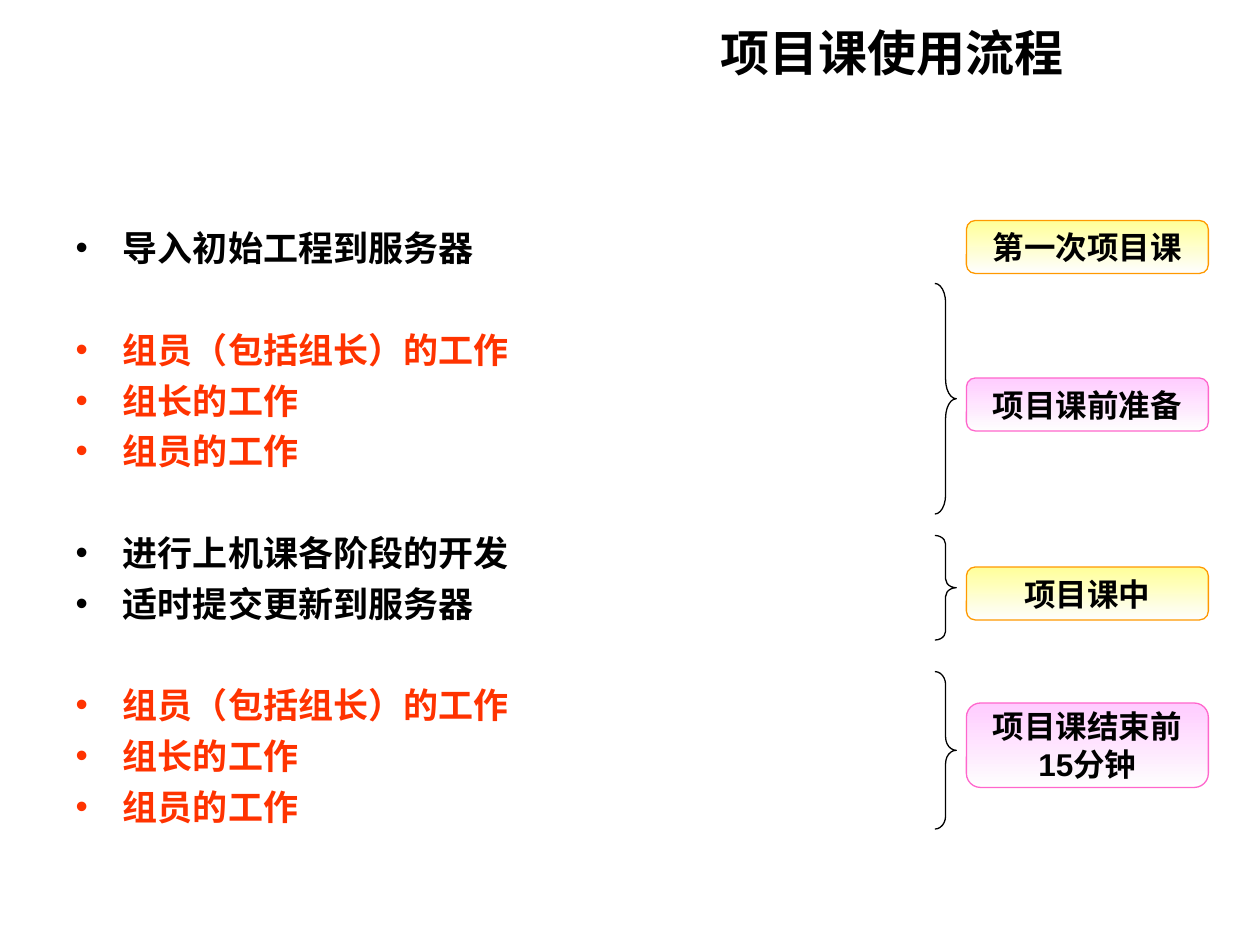
from pptx import Presentation
from pptx.dml.color import RGBColor
from pptx.enum.shapes import MSO_SHAPE
from pptx.enum.text import MSO_ANCHOR, MSO_AUTO_SIZE, PP_ALIGN
from pptx.util import Inches, Pt

BOX, BRACE = MSO_SHAPE.ROUNDED_RECTANGLE, MSO_SHAPE.RIGHT_BRACE
MIDDLE, NO_FIT = MSO_ANCHOR.MIDDLE, MSO_AUTO_SIZE.NONE
RIGHT, CENTER = PP_ALIGN.RIGHT, PP_ALIGN.CENTER

# Content
COLORS = {"black": "000000", "red": "FF3300", "pale": "FEFEFE",
          "yellow": "FFFF99", "orange": "FF9900",
          "pink": "FFCCFF", "rose": "FF66CC"}
TITLE = "项目课使用流程"
ROLES = ["组员（包括组长）的工作", "组长的工作", "组员的工作"]
GROUPS = [("black", ["导入初始工程到服务器"]),
          ("red", ROLES),
          ("black", ["进行上机课各阶段的开发", "适时提交更新到服务器"]),
          ("red", ROLES)]
# Label lines, top, height, fill, outline
LABELS = [(["第一次项目课"], 1.75, 0.42, "yellow", "orange"),
          (["项目课前准备"], 3, 0.42, "pink", "rose"),
          (["项目课中"], 4.5, 0.42, "yellow", "orange"),
          (["项目课结束前", "15分钟"], 5.58, 0.67, "pink", "rose")]
# Top, height
BRACES = [(2.25, 1.83), (4.25, 0.83), (5.33, 1.25)]
LABEL_X, LABEL_W = 7.67, 1.92
BRACE_X, BRACE_W = 7.42, 0.17
GAP, GROUP_GAP = 5, 34


def color(name):
    return RGBColor.from_string(COLORS[name])


def style(para, size, name="black"):
    font = para.font
    font.name, font.size, font.bold = "Arial", Pt(size), True
    font.color.rgb = color(name)


def place(shape, x, y, w, h):
    shape.left, shape.top = Inches(x), Inches(y)
    shape.width, shape.height = Inches(w), Inches(h)


def add_shape(kind, x, y, w, h, line):
    shape = slide.shapes.add_shape(
        kind, Inches(x), Inches(y), Inches(w), Inches(h))
    shape.shadow.inherit = False
    shape.line.color.rgb = color(line)
    shape.line.width = Pt(0.74)
    return shape


def add_paras(frame, lines):
    for i, line in enumerate(lines):
        para = frame.add_paragraph() if i else frame.paragraphs[0]
        para.text = line
        yield para


deck = Presentation()
deck.slide_width, deck.slide_height = Inches(10), Inches(7.5)
slide = deck.slides.add_slide(deck.slide_layouts[1])

# Title
title = slide.shapes.title
place(title, 0.98, -0.19, 7.56, 1.21)
title.text_frame.auto_size = NO_FIT
title.text_frame.vertical_anchor = MIDDLE
for para in add_paras(title.text_frame, [TITLE]):
    para.alignment = RIGHT
    style(para, 28)

# Bullet list, with a wider gap before each new group
body = slide.placeholders[1]
place(body, 0.5, 1.75, 9, 4.95)
body.text_frame.auto_size = NO_FIT
items = [(text, name, GROUP_GAP if g and not i else GAP)
         for g, (name, texts) in enumerate(GROUPS)
         for i, text in enumerate(texts)]
paras = add_paras(body.text_frame, [item[0] for item in items])
for para, (_, name, gap) in zip(paras, items):
    para.space_before = Pt(gap)
    style(para, 20, name)

# Braces
for top, high in BRACES:
    brace = add_shape(BRACE, BRACE_X, top, BRACE_W, high, "black")
    brace.fill.background()
    brace.adjustments[0] = high / BRACE_W / 12

# Labels
for lines, top, high, fill, line in LABELS:
    box = add_shape(BOX, LABEL_X, top, LABEL_W, high, line)
    box.fill.gradient()
    box.fill.gradient_angle = 270
    for stop, name in zip(box.fill.gradient_stops, (fill, "pale")):
        stop.color.rgb = color(name)
    frame = box.text_frame
    frame.word_wrap = False
    frame.vertical_anchor = MIDDLE
    for para in add_paras(frame, lines):
        para.alignment = CENTER
        style(para, 18)

deck.save("out.pptx")
